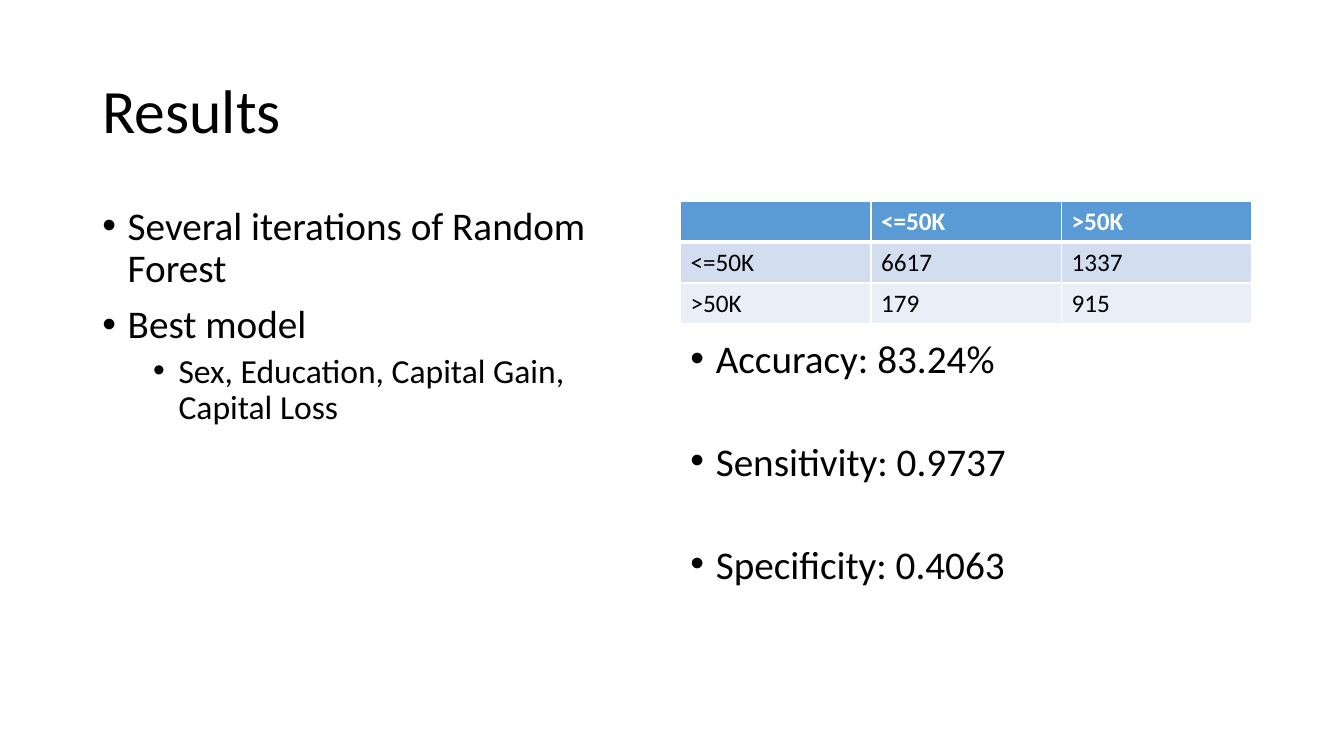
"""Build the Results slide with its findings, confusion matrix and metrics."""
from dataclasses import dataclass

from lxml import etree
from pptx import Presentation
from pptx import util as u
from pptx.dml.color import RGBColor
from pptx.enum import text
from pptx.oxml import ns


@dataclass(frozen=True)
class Theme:
    font: str = "Calibri"
    ink: str = "000000"
    paper: str = "FFFFFF"
    header: str = "5B9BD5"
    bands: tuple = ("D2DEEF", "EAEFF7")
    title_size: int = 44
    body_sizes: tuple = (28, 24)
    table_size: int = 18
    rule: int = 1
    header_rule: int = 3


class Page:
    def __init__(self, deck, theme):
        self.theme = theme
        self.slide = deck.slides.add_slide(deck.slide_layouts[5])

    def span(self, para, words, size, color=None, bold=False):
        span = para.add_run()
        span.text = words
        span.font.name = self.theme.font
        span.font.size = u.Pt(size)
        span.font.bold = bold
        span.font.color.rgb = RGBColor.from_string(color or self.theme.ink)

    def title(self, words, left, top, width, height):
        box = self.slide.shapes.title
        box.left, box.top, box.width, box.height = left, top, width, height
        frame = box.text_frame
        frame.auto_size = text.MSO_AUTO_SIZE.NONE
        frame.vertical_anchor = text.MSO_ANCHOR.MIDDLE
        para = frame.paragraphs[0]
        para.alignment = text.PP_ALIGN.LEFT
        para.line_spacing = 0.9
        self.span(para, words, self.theme.title_size)

    def bullets(self, items, left, top, width, height, line_spacing, gaps):
        box = self.slide.shapes.add_textbox(left, top, width, height)
        frame = box.text_frame
        frame.word_wrap = True
        for index, (level, words) in enumerate(items):
            para = frame.add_paragraph() if index else frame.paragraphs[0]
            para.level = level
            para.line_spacing = line_spacing
            para.space_before = u.Pt(gaps[level])
            self.bullet(para, level)
            self.span(para, words, self.theme.body_sizes[level])

    def bullet(self, para, level):
        hang = u.Cm(0.64)
        props = para._p.get_or_add_pPr()
        props.set("marL", str(hang * (1 + 2 * level)))
        props.set("indent", str(-hang))
        etree.SubElement(props, ns.qn("a:buFont")).set("typeface", "Arial")
        etree.SubElement(props, ns.qn("a:buChar")).set("char", "•")

    def table(self, rows, left, top, width, height):
        theme = self.theme
        frame = self.slide.shapes.add_table(len(rows), len(rows[0]), left, top, width, height)
        for r, row in enumerate(rows):
            header = r == 0
            fill = theme.header if header else theme.bands[(r - 1) % 2]
            above = theme.header_rule if r == 1 else theme.rule
            below = theme.header_rule if header else theme.rule
            for c, words in enumerate(row):
                cell = frame.table.cell(r, c)
                self.borders(cell, {"L": theme.rule, "R": theme.rule, "T": above, "B": below})
                cell.fill.solid()
                cell.fill.fore_color.rgb = RGBColor.from_string(fill)
                if words:
                    color = theme.paper if header else theme.ink
                    self.span(cell.text_frame.paragraphs[0], words, theme.table_size, color, header)

    def borders(self, cell, widths):
        props = cell._tc.get_or_add_tcPr()
        for side, width in widths.items():
            line = etree.SubElement(props, ns.qn(f"a:ln{side}"), w=str(u.Pt(width)))
            solid = etree.SubElement(line, ns.qn("a:solidFill"))
            etree.SubElement(solid, ns.qn("a:srgbClr"), val=self.theme.paper)


def main():
    deck = Presentation()
    deck.slide_width, deck.slide_height = u.Cm(33.87), u.Cm(19.05)
    page = Page(deck, Theme())
    left, right = u.Cm(2.33), u.Cm(17.15)
    top, column = u.Cm(5.07), u.Cm(14.4)

    page.title("Results", left, u.Cm(1.01), u.Cm(29.21), u.Cm(3.68))
    findings = [
        (0, "Several iterations of Random Forest"),
        (0, "Best model"),
        (1, "Sex, Education, Capital Gain, Capital Loss"),
    ]
    page.bullets(findings, left, top, column, u.Cm(12.09), 0.9, (10, 5))
    matrix = [
        ("", "<=50K", ">50K"),
        ("<=50K", "6617", "1337"),
        (">50K", "179", "915"),
    ]
    page.table(matrix, right, top, column, u.Cm(3.09))
    metrics = [
        (0, "Accuracy: 83.24%"),
        (0, "Sensitivity: 0.9737"),
        (0, "Specificity: 0.4063"),
    ]
    page.bullets(metrics, right, u.Cm(8.53), column, u.Cm(6.53), 0.8, (46.5,))
    deck.save("out.pptx")


main()
